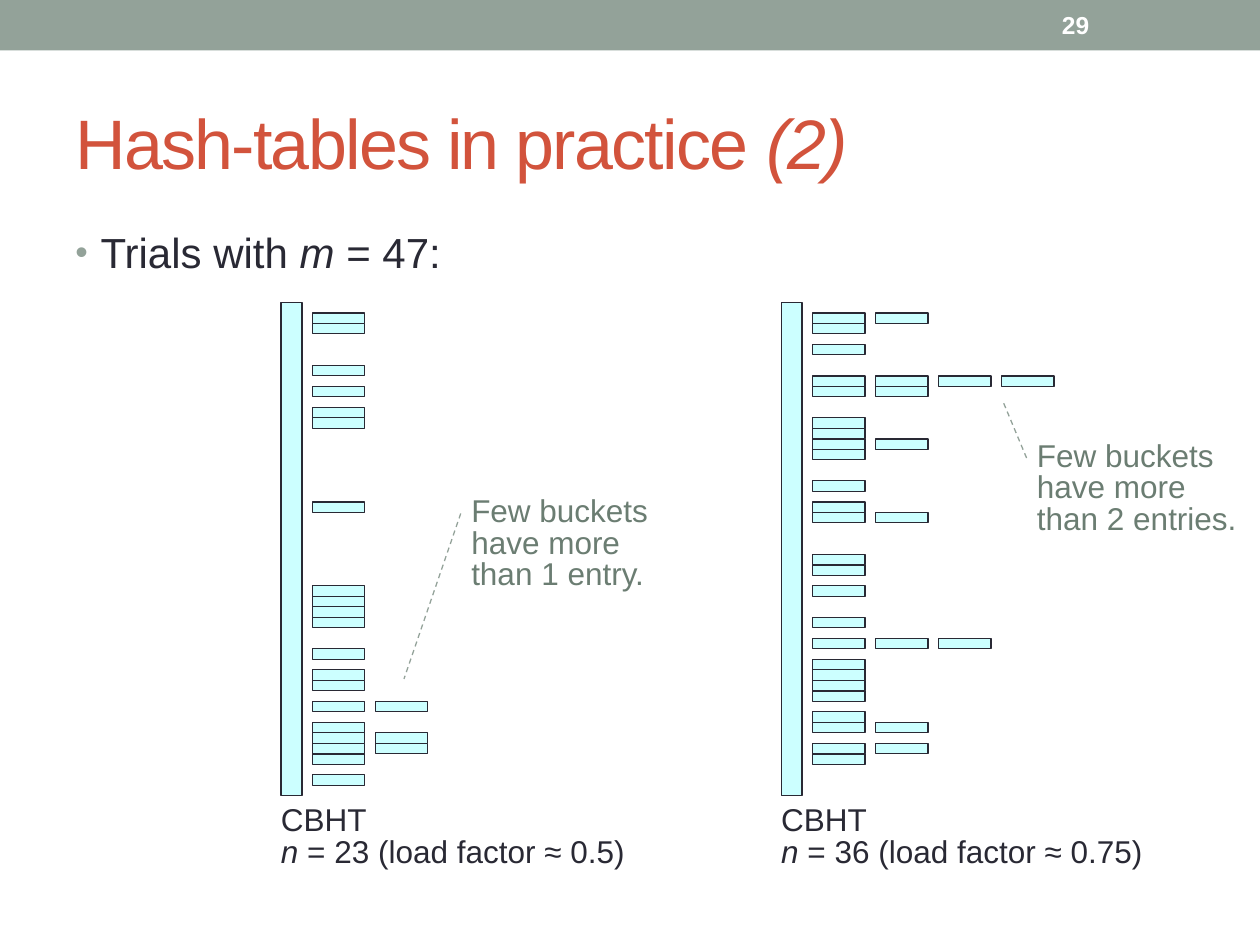
from pptx import Presentation
from pptx.dml.color import RGBColor
from pptx.enum.dml import MSO_LINE
from pptx.enum.shapes import MSO_SHAPE
from pptx.enum.text import MSO_ANCHOR, PP_ALIGN
from pptx.oxml import parse_xml
from pptx.oxml.ns import nsdecls
from pptx.util import Inches, Pt

SAGE = RGBColor(0x93, 0xA2, 0x99)
RUST = RGBColor(0xD2, 0x53, 0x3C)
INK = RGBColor(0x29, 0x29, 0x34)
CYAN = RGBColor(0xCC, 0xFF, 0xFF)
MOSS = RGBColor(0x6B, 0x7D, 0x72)
WHITE = RGBColor(0xFF, 0xFF, 0xFF)

BUCKETS = 47
PITCH = 1 / 12
TABLE_TOP = 2.4


def add_box(shapes, left, top, width, height, fill=CYAN, line=INK):
    """Add a flat rectangle, outlined unless line is None."""
    box = shapes.add_shape(MSO_SHAPE.RECTANGLE, Inches(left), Inches(top),
                           Inches(width), Inches(height))
    box.shadow.inherit = False
    box.fill.solid()
    box.fill.fore_color.rgb = fill
    if line is None:
        box.line.fill.background()
    else:
        box.line.color.rgb = line
        box.line.width = Pt(0.75)


def write_text(shape, runs, size, color, anchor=MSO_ANCHOR.TOP, compact=False):
    """Fill a shape with one paragraph of (text, italic) runs; None is a line break."""
    frame = shape.text_frame
    frame.word_wrap = True
    frame.vertical_anchor = anchor
    paragraph = frame.paragraphs[0]
    paragraph.alignment = PP_ALIGN.LEFT
    if compact:
        frame.margin_left = frame.margin_right = 0
        frame.margin_top = frame.margin_bottom = 0
        paragraph.line_spacing = Pt(18)
    for item in runs:
        if item is None:
            paragraph.add_line_break()
            continue
        run = paragraph.add_run()
        run.text, run.font.italic = item
        run.font.name = "Arial"
        run.font.size = Pt(size)
        run.font.color.rgb = color
    return paragraph


presentation = Presentation()
presentation.slide_width = Inches(10)
presentation.slide_height = Inches(7.5)
slide = presentation.slides.add_slide(presentation.slide_layouts[6])
shapes = slide.shapes

# Header band, title and bullet
add_box(shapes, 0, 0, 10, 0.4, SAGE, None)

title = shapes.add_textbox(Inches(0.5), Inches(0.58), Inches(9), Inches(1.08))
paragraph = write_text(title, [("Hash-tables in practice ", False), ("(2)", True)],
                       40, RUST, MSO_ANCHOR.MIDDLE)
for run in paragraph.runs:
    run.font._element.set("spc", "-100")

body = shapes.add_textbox(Inches(0.5), Inches(1.75), Inches(9), Inches(5.33))
paragraph = write_text(body, [("Trials with ", False), ("m", True), (" = 47:", False)],
                       24, INK)
paragraph.space_before = Pt(4.8)
properties = paragraph._p.get_or_add_pPr()
properties.set("marL", str(Inches(0.2)))
properties.set("indent", str(-Inches(0.2)))
for bullet_part in (
    f'<a:buClr {nsdecls("a")}><a:srgbClr val="{SAGE}"/></a:buClr>',
    f'<a:buSzPct {nsdecls("a")} val="85000"/>',
    f'<a:buFont {nsdecls("a")} typeface="Arial"/>',
    f'<a:buChar {nsdecls("a")} char="\u2022"/>',
):
    properties.append(parse_xml(bullet_part))

# Hash tables: left edge, caption, and for each chain position the buckets that reach it
TABLES = [
    (2.23, " = 23 (load factor ≈ 0.5)", [
        [1, 2, 6, 8, 10, 11, 19, 27, 28, 29, 30, 33, 35, 36, 38, 40, 41, 42, 43, 45],
        [38, 41, 42],
    ]),
    (6.2, " = 36 (load factor ≈ 0.75)", [
        [1, 2, 4, 7, 8, 11, 12, 13, 14, 17, 19, 20, 24, 25, 27, 30, 32,
         34, 35, 36, 37, 39, 40, 42, 43],
        [1, 7, 8, 13, 20, 32, 40, 42],
        [7, 32],
        [7],
    ]),
]
for left, load, chain_positions in TABLES:
    table = shapes.add_group_shape().shapes
    for position, buckets in enumerate(chain_positions):
        for bucket in buckets:
            add_box(table, left + 0.25 + 0.5 * position, TABLE_TOP + bucket * PITCH,
                    5 * PITCH, PITCH)
    add_box(table, left, TABLE_TOP, 2 * PITCH, BUCKETS * PITCH)
    caption = table.add_textbox(Inches(left), Inches(6.4), Inches(3.01), Inches(0.5))
    write_text(caption, [("CBHT", False), None, ("n", True), (load, False)],
               18, INK, compact=True)

# Callouts: place, pointer (y, x, y, x as fractions of the box), wording
CALLOUTS = [
    ((3.74, 3.95, 1.42, 0.81), (0.155, -0.059, 1.776, -0.376),
     "Few buckets have more than 1 entry."),
    ((8.23, 3.51, 1.62, 0.78), (0.161, -0.051, -0.412, -0.166),
     "Few buckets have more than 2 entries."),
]
for place, pointer, wording in CALLOUTS:
    callout = shapes.add_shape(MSO_SHAPE.LINE_CALLOUT_1_NO_BORDER,
                               *[Inches(length) for length in place])
    callout.shadow.inherit = False
    callout.fill.background()
    callout.line.color.rgb = SAGE
    callout.line.width = Pt(0.75)
    callout.line.dash_style = MSO_LINE.DASH
    for index, fraction in enumerate(pointer):
        callout.adjustments[index] = fraction
    write_text(callout, [(wording, False)], 18, MOSS, compact=True)

# Slide number
number = shapes.add_textbox(Inches(8.33), Inches(0.02), Inches(1.17), Inches(0.36))
paragraph = write_text(number, [("29", False)], 14, WHITE, MSO_ANCHOR.MIDDLE)
paragraph.runs[0].font.bold = True

presentation.save("out.pptx")
